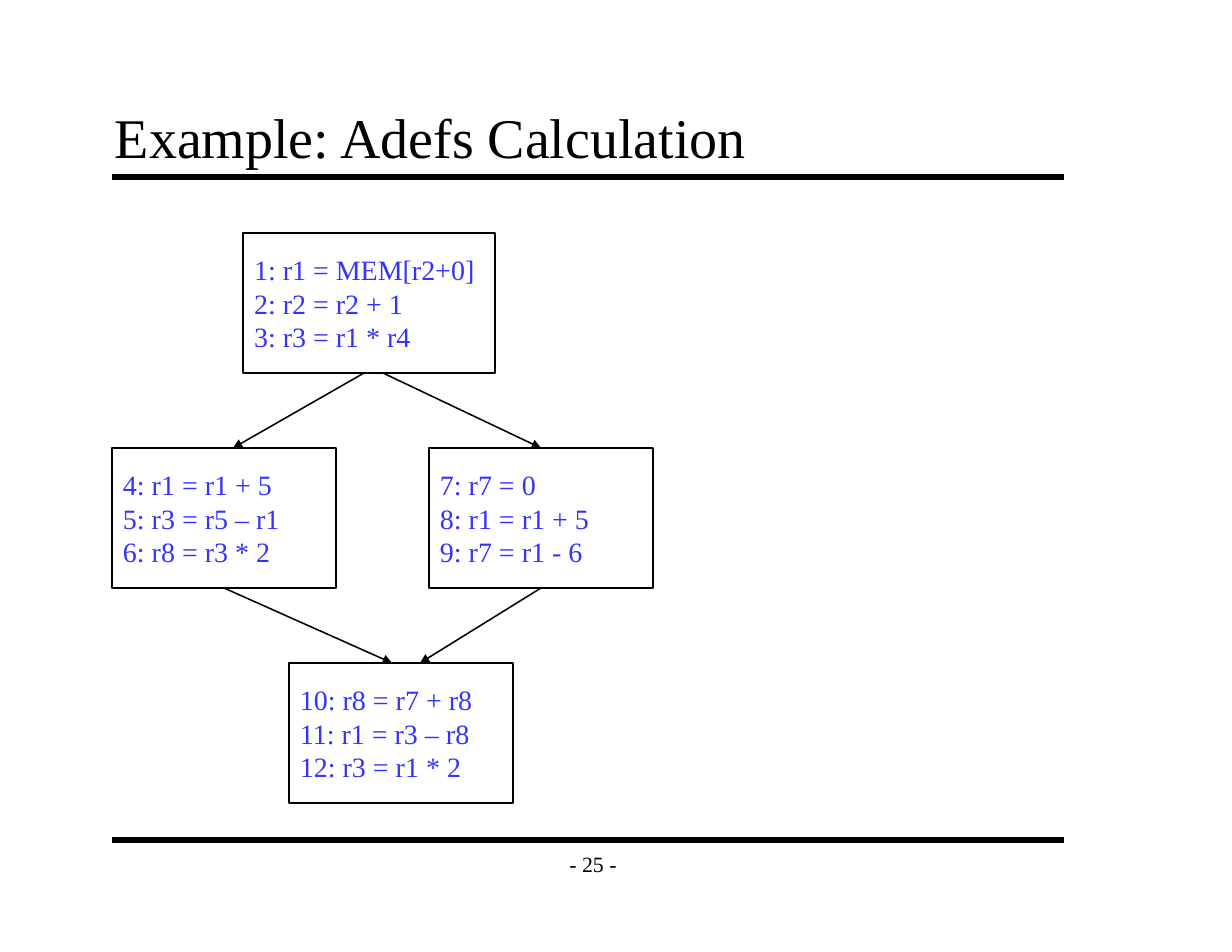
from typing import NamedTuple, Optional

from lxml.etree import SubElement
from pptx import Presentation
from pptx.dml.color import RGBColor
from pptx.enum.shapes import MSO_CONNECTOR, MSO_SHAPE
from pptx.enum.text import MSO_ANCHOR, PP_ALIGN
from pptx.oxml.ns import qn
from pptx.util import Emu, Pt

BLACK = RGBColor(0x00, 0x00, 0x00)
BLUE = RGBColor(0x33, 0x33, 0xFF)
FACE = "Times New Roman"
BOTTOM, TOP = 2, 0


class Block(NamedTuple):
    left: int
    top: int
    width: int
    lines: tuple[str, ...]


class Edge(NamedTuple):
    start: tuple[int, int]
    end: tuple[int, int]
    tail: Optional[str] = None  # block whose bottom middle the edge leaves
    head: Optional[str] = None  # block whose top middle the edge meets


class Label(NamedTuple):
    box: tuple[int, int, int, int]
    text: str
    size: int
    align: PP_ALIGN
    anchor: MSO_ANCHOR


HEIGHT = 140
BLOCKS = {
    "entry": Block(243, 233, 252,
                   ("1: r1 = MEM[r2+0]", "2: r2 = r2 + 1", "3: r3 = r1 * r4")),
    "left": Block(112, 448, 224,
                  ("4: r1 = r1 + 5", "5: r3 = r5 – r1", "6: r8 = r3 * 2")),
    "right": Block(429, 448, 224,
                   ("7: r7 = 0", "8: r1 = r1 + 5", "9: r7 = r1 - 6")),
    "exit": Block(289, 663, 224,
                  ("10: r8 = r7 + r8", "11: r1 = r3 – r8", "12: r3 = r1 * 2")),
}
EDGES = (
    Edge((364, 373), (233, 448)),
    Edge((383, 373), (541, 448), head="right"),
    Edge((541, 588), (420, 663), tail="right"),
    Edge((224, 588), (392, 663), tail="left"),
)
LABELS = (
    Label((551, 840, 84, 47), "- 25 -", 14, PP_ALIGN.CENTER, MSO_ANCHOR.MIDDLE),
    Label((103, 102, 952, 75), "Example: Adefs Calculation", 36,
          PP_ALIGN.LEFT, MSO_ANCHOR.BOTTOM),
)
RULES = (177, 840)


def px(n: int) -> Emu:
    return Emu(round(n * 914400 / 112))


def apply(target, form: dict) -> None:
    for key, value in form.items():
        setattr(target, key, value)


def write(shape, lines: tuple[str, ...], size: int, color: RGBColor,
          align: PP_ALIGN, anchor: MSO_ANCHOR, pad: dict) -> None:
    frame = shape.text_frame
    apply(frame, {"word_wrap": True, "vertical_anchor": anchor, **pad})
    frame.text = "\n".join(lines)
    for para in frame.paragraphs:
        para.alignment = align
        apply(para.font, {"name": FACE, "size": Pt(size)})
        para.font.color.rgb = color


def add_line(slide, start: tuple[int, int], end: tuple[int, int], weight: int):
    line = slide.shapes.add_connector(
        MSO_CONNECTOR.STRAIGHT, *map(px, start + end))
    line.line.color.rgb = BLACK
    line.line.width = Pt(weight)
    SubElement(line._element.spPr, qn("a:effectLst"))
    return line


def add_label(slide, label: Label) -> None:
    box = slide.shapes.add_textbox(*map(px, label.box))
    pad = {"margin_left": px(12), "margin_right": px(12),
           "margin_top": px(7), "margin_bottom": px(7)}
    write(box, (label.text,), label.size, BLACK, label.align, label.anchor, pad)


def add_block(slide, block: Block):
    rect = slide.shapes.add_shape(
        MSO_SHAPE.RECTANGLE,
        *map(px, (block.left, block.top, block.width, HEIGHT)))
    rect.shadow.inherit = False
    rect.fill.background()
    rect.line.color.rgb = BLACK
    rect.line.width = Pt(1)
    write(rect, block.lines, 18, BLUE, PP_ALIGN.LEFT, MSO_ANCHOR.MIDDLE, {})
    return rect


def add_edge(slide, edge: Edge, rects: dict) -> None:
    line = add_line(slide, edge.start, edge.end, 1)
    if edge.tail:
        line.begin_connect(rects[edge.tail], BOTTOM)
    if edge.head:
        line.end_connect(rects[edge.head], TOP)
    SubElement(line.line._get_or_add_ln(), qn("a:tailEnd"), type="triangle")


def main() -> None:
    deck = Presentation()
    apply(deck, {"slide_width": px(1232), "slide_height": px(952)})
    slide = deck.slides.add_slide(deck.slide_layouts[6])
    for y in RULES:
        add_line(slide, (112, y), (1064, y), 4)
    for label in LABELS:
        add_label(slide, label)
    rects = {name: add_block(slide, block) for name, block in BLOCKS.items()}
    for edge in EDGES:
        add_edge(slide, edge, rects)
    deck.save("out.pptx")


if __name__ == "__main__":
    main()
